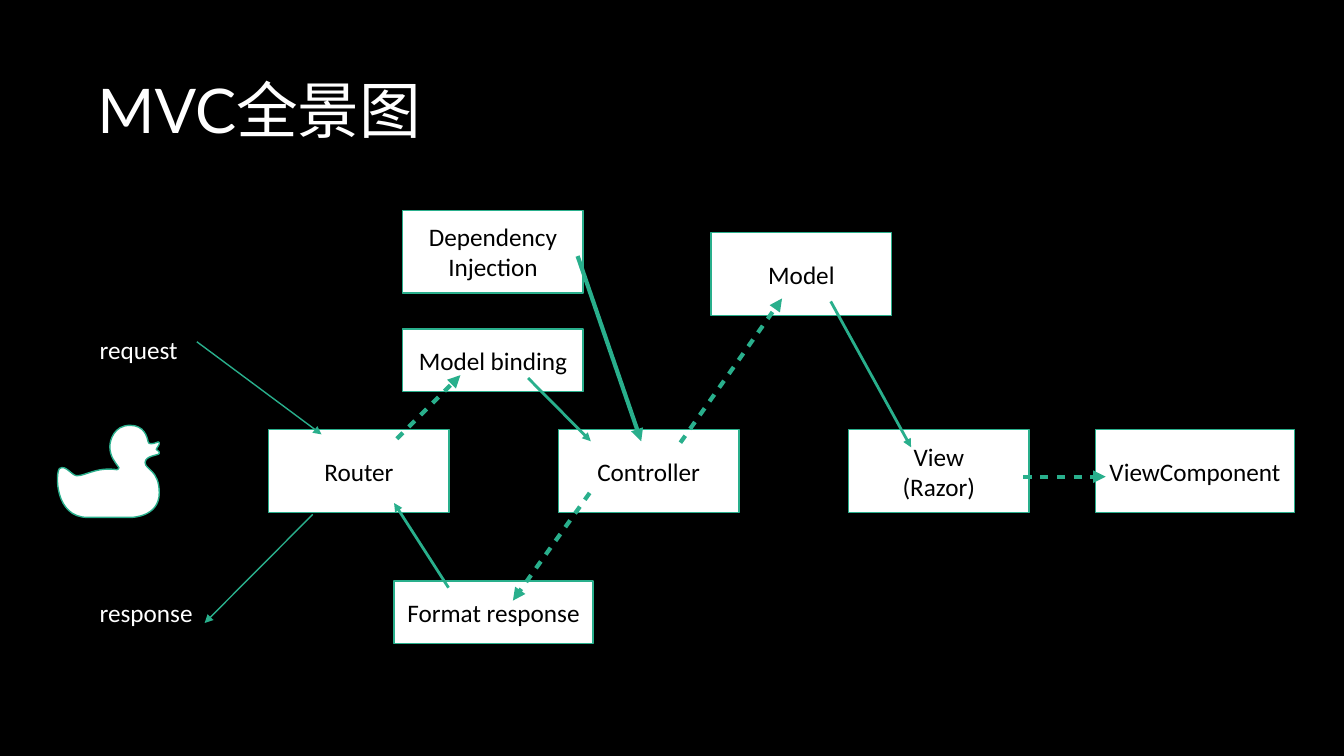
from dataclasses import dataclass

from lxml.etree import SubElement
from pptx import Presentation
from pptx.dml.color import RGBColor
from pptx.enum.shapes import MSO_CONNECTOR, MSO_SHAPE
from pptx.enum.text import MSO_ANCHOR, MSO_AUTO_SIZE, PP_ALIGN
from pptx.oxml.ns import qn
from pptx.shapes.autoshape import Shape
from pptx.slide import Slide
from pptx.text.text import TextFrame
from pptx.util import Pt

BLACK, WHITE, GREEN = "000000", "FFFFFF", "29AF8C"
INSET = 3.6
BOX_W, WIDE_W = 128.9, 142
BOX_H, LOW_H = 59.2, 44.6
ROW_TOP = 306.9
DASH = "200000"  # dash and gap, each twice the line width


@dataclass(frozen=True)
class Box:
    text: str
    left: float
    top: float
    width: float = BOX_W
    height: float = BOX_H


@dataclass(frozen=True)
class Label:
    text: str
    left: float
    top: float
    width: float


@dataclass(frozen=True)
class Arrow:
    x1: float
    y1: float
    x2: float
    y2: float
    weight: float
    dashed: bool = False


BOXES = [
    Box("Model", 508, 166.3),
    Box("Controller", 398.9, ROW_TOP),
    Box("View\n(Razor)", 606.2, ROW_TOP),
    Box("ViewComponent", 782.6, ROW_TOP, WIDE_W),
    Box("Router", 192, ROW_TOP),
    Box("Model binding", 287.7, 234.9, height=LOW_H),
    Box("Dependency Injection", 287.7, 150.2),
    Box("Format response", 281.5, 414.9, WIDE_W, LOW_H),
]

LABELS = [Label("request", 67.6, 234.9, 69), Label("response", 67.6, 423.2, 79)]

ARROWS = [
    Arrow(140.6, 244.1, 229.7, 310.3, 1),           # request to Router
    Arrow(223.4, 367.4, 146.2, 445, 1),             # Router to response
    Arrow(283.5, 313.4, 328.9, 268, 3, True),       # Router to Model binding
    Arrow(377.2, 270, 422, 315.2, 2),               # Model binding to Controller
    Arrow(412.6, 182.9, 458, 315.2, 3),             # Injection to Controller
    Arrow(486, 316.2, 558.6, 213.2, 3, True),       # Controller to Model
    Arrow(593.4, 215.3, 650.8, 319.5, 2),           # Model to View
    Arrow(730.8, 340.5, 789.8, 340.5, 3, True),     # View to ViewComponent
    Arrow(421.2, 352.1, 366.4, 429, 3, True),       # Controller to Format response
    Arrow(320.4, 419.8, 281.5, 359.3, 2),           # Format response to Router
]

# Duck outline: frame, start point, then cubic curves (two controls and an end point)
DUCK_LEFT, DUCK_TOP, DUCK_W, DUCK_H = 41, 303.8, 72.9, 65.8
DUCK_START = (92.9, 303.8)
DUCK_CURVES = [
    ((81.4, 303.8), (78.5, 314.6), (78.5, 319)),
    ((78.5, 326.2), (82.1, 329.8), (85, 334.1)),
    ((85, 334.8), (84.2, 335.5), (83.5, 335.5)),
    ((69.1, 333.4), (61.2, 339.8), (55.4, 339.8)),
    ((51.8, 340.6), (46.8, 331.2), (42.5, 334.8)),
    ((39.6, 337.7), (38.9, 369.6), (62.6, 369.6)),
    ((86.4, 369.6), (93.6, 369.6), (93.6, 369.6)),
    ((93.6, 369.6), (113.8, 369.6), (113.8, 352.1)),
    ((113.8, 335.5), (103.7, 335.5), (103.7, 330.5)),
    ((103.7, 325.4), (113, 325.4), (113.8, 324)),
    ((114.5, 322.6), (111.6, 321.1), (111.6, 321.1)),
    ((111.6, 320.4), (114.5, 317.5), (113.8, 316.1)),
    ((113, 314.6), (111.6, 317.5), (106.6, 316.8)),
    ((105.8, 316.1), (105.8, 316.1), (105.8, 315.4)),
    ((105.1, 311.8), (103, 303.8), DUCK_START),
]


def rgb(color: str) -> RGBColor:
    return RGBColor.from_string(color)


def write(tf: TextFrame, text: str, color: str, size: float = 18,
          font: str = "Calibri", align: PP_ALIGN = PP_ALIGN.LEFT) -> None:
    tf.margin_left = tf.margin_right = tf.margin_top = tf.margin_bottom = Pt(INSET)
    for i, line in enumerate(text.split("\n")):
        p = tf.add_paragraph() if i else tf.paragraphs[0]
        p.alignment = align
        r = p.add_run()
        r.text = line
        r.font.name = font
        r.font.size = Pt(size)
        r.font.color.rgb = rgb(color)


def paint(sp: Shape) -> None:
    sp.shadow.inherit = False
    sp.fill.solid()
    sp.fill.fore_color.rgb = rgb(WHITE)
    sp.line.color.rgb = rgb(GREEN)
    sp.line.width = Pt(1)


def add_title(s: Slide, text: str) -> None:
    sp = s.shapes.title
    sp.left, sp.top, sp.width, sp.height = Pt(66), Pt(28.8), Pt(828), Pt(104.4)
    tf = sp.text_frame
    tf.vertical_anchor = MSO_ANCHOR.MIDDLE
    write(tf, text, WHITE, 44, "Lato")
    tf.paragraphs[0].line_spacing = 0.9


def add_box(s: Slide, box: Box) -> None:
    sp = s.shapes.add_shape(MSO_SHAPE.RECTANGLE, Pt(box.left), Pt(box.top),
                            Pt(box.width), Pt(box.height))
    paint(sp)
    tf = sp.text_frame
    tf.word_wrap = True
    tf.vertical_anchor = MSO_ANCHOR.MIDDLE
    write(tf, box.text, BLACK, align=PP_ALIGN.CENTER)


def add_label(s: Slide, label: Label) -> None:
    sp = s.shapes.add_textbox(Pt(label.left), Pt(label.top), Pt(label.width), Pt(28.1))
    tf = sp.text_frame
    tf.word_wrap = False
    tf.auto_size = MSO_AUTO_SIZE.SHAPE_TO_FIT_TEXT
    write(tf, label.text, WHITE)


def add_arrow(s: Slide, arrow: Arrow) -> None:
    sp = s.shapes.add_connector(MSO_CONNECTOR.STRAIGHT, Pt(arrow.x1), Pt(arrow.y1),
                                Pt(arrow.x2), Pt(arrow.y2))
    sp.line.color.rgb = rgb(GREEN)
    sp.line.width = Pt(arrow.weight)
    properties = sp._element.spPr
    ln = properties.find(qn("a:ln"))
    if arrow.dashed:
        SubElement(SubElement(ln, qn("a:custDash")), qn("a:ds"), d=DASH, sp=DASH)
    SubElement(ln, qn("a:tailEnd"), type="triangle")
    SubElement(properties, qn("a:effectLst"))


def add_duck(s: Slide) -> None:
    builder = s.shapes.build_freeform(*map(Pt, DUCK_START))
    builder.add_line_segments([tuple(map(Pt, curve[-1])) for curve in DUCK_CURVES])
    sp = builder.convert_to_shape()
    sp.left, sp.top, sp.width, sp.height = map(Pt, (DUCK_LEFT, DUCK_TOP, DUCK_W, DUCK_H))
    paint(sp)

    # Bend the straight segments into cubic curves
    outline = next(sp._element.iter(qn("a:path")))
    outline.set("w", str(Pt(DUCK_W)))
    outline.set("h", str(Pt(DUCK_H)))
    for child in list(outline):
        outline.remove(child)
    steps = [("a:moveTo", (DUCK_START,))]
    steps += [("a:cubicBezTo", curve) for curve in DUCK_CURVES]
    for tag, points in steps:
        segment = SubElement(outline, qn(tag))
        for x, y in points:
            SubElement(segment, qn("a:pt"), x=str(Pt(x - DUCK_LEFT)),
                       y=str(Pt(y - DUCK_TOP)))
    SubElement(outline, qn("a:close"))


def main() -> None:
    prs = Presentation()
    prs.slide_width, prs.slide_height = Pt(960), Pt(540)
    s = prs.slides.add_slide(prs.slide_layouts[5])
    s.background.fill.solid()
    s.background.fill.fore_color.rgb = rgb(BLACK)

    add_title(s, "MVC全景图")
    # Pipeline stages and the client
    for box in BOXES:
        add_box(s, box)
    add_duck(s)
    # Request and response flow
    for label in LABELS:
        add_label(s, label)
    for arrow in ARROWS:
        add_arrow(s, arrow)
    prs.save("out.pptx")


if __name__ == "__main__":
    main()
